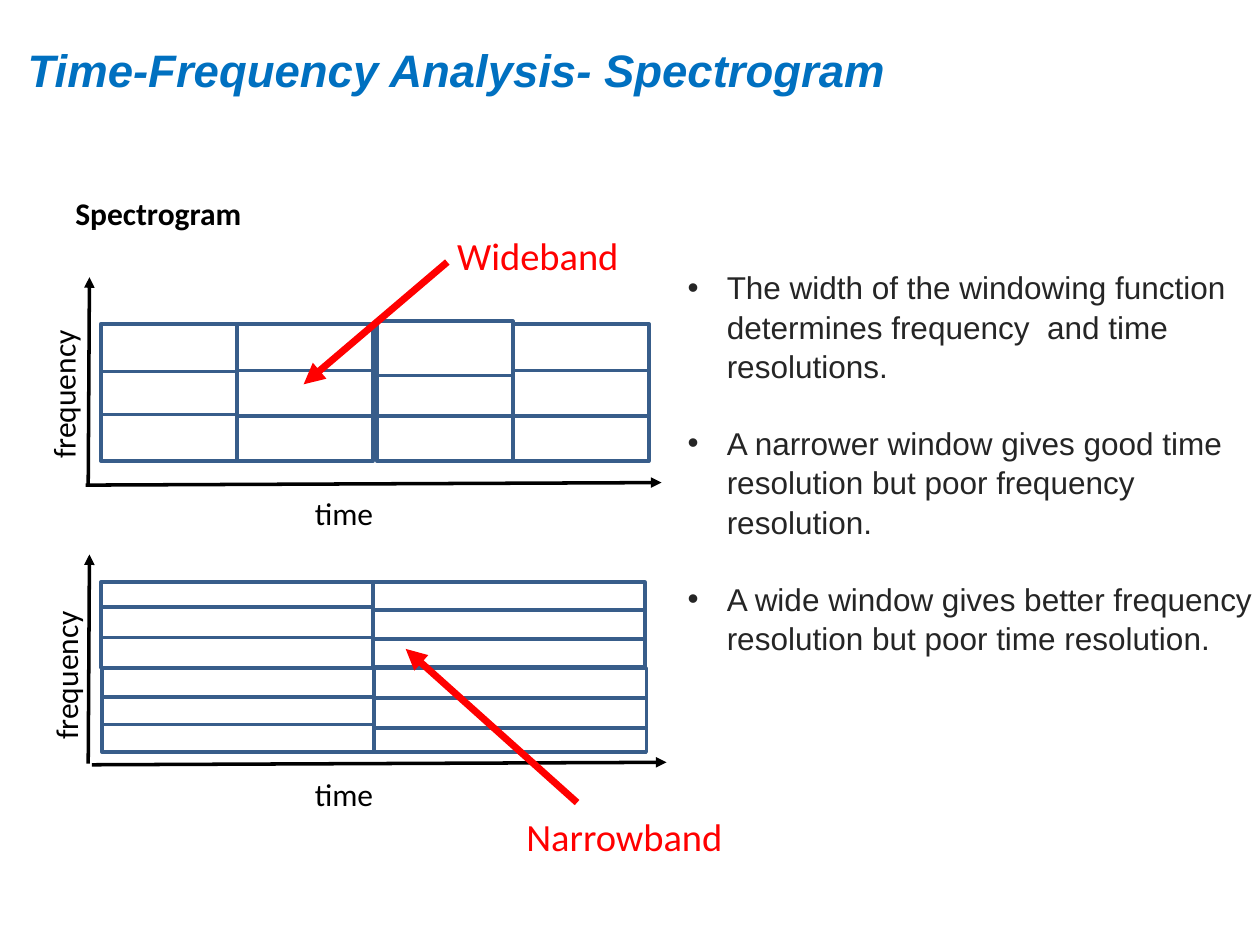
import pptx
import pptx.util
import pptx.dml.color
import pptx.enum.shapes
import pptx.enum.text
import pptx.oxml
import pptx.oxml.ns
from lxml import etree

COLORS = {"title": "0070C0", "ink": "000000", "cell": "385D8A", "accent": "FF0000", "body": "252525"}
WIDEBAND_CELLS = [
    (8, 10.8, (25.7, 29.5, 32.9, 36.6)),
    (18.8, 10.8, (25.7, 29.4, 33, 36.6)),
    (29.9, 10.8, (25.5, 29.8, 33, 36.6)),
    (40.7, 10.8, (25.7, 29.4, 33, 36.6)),
]
NARROWBAND_CELLS = [
    (8, 21.6, (46.2, 48.2, 50.6, 53)),
    (29.6, 21.6, (46.2, 48.4, 50.7, 52.9)),
    (8.1, 21.6, (53, 55.3, 57.5, 59.7)),
    (29.7, 21.6, (53, 55.4, 57.8, 59.7)),
]
POINTS = [
    "The width of the windowing function determines frequency  and time resolutions.",
    "A narrower window gives good time resolution but poor frequency resolution.",
    "A wide window gives better frequency resolution but poor time resolution.",
]


def rgb(name):
    """Return the named colour."""
    return pptx.dml.color.RGBColor.from_string(COLORS[name])


class SlideBuilder:
    """Draws styled elements on a grid of 100 columns by 75 rows."""

    def __init__(self, deck):
        """Add a title-only page to the deck."""
        self.unit = deck.slide_width / 100
        self.page = deck.slides.add_slide(deck.slide_layouts[5])
        self.shapes = self.page.shapes

    def grid(self, *values):
        """Convert grid units to lengths."""
        return [pptx.util.Emu(round(value * self.unit)) for value in values]

    def add_span(self, para, text, size, color, font="Calibri", bold=False, italic=False):
        """Add one formatted span to a paragraph."""
        span = para.add_run()
        span.text = text
        span.font.name = font
        span.font.size = pptx.util.Pt(size)
        span.font.bold = bold
        span.font.italic = italic
        span.font.color.rgb = rgb(color)

    def title(self, text, left, top, width, height):
        """Place and fill the title placeholder."""
        box = self.shapes.title
        box.left, box.top, box.width, box.height = self.grid(left, top, width, height)
        frame = box.text_frame
        frame.auto_size = pptx.enum.text.MSO_AUTO_SIZE.NONE
        frame.vertical_anchor = pptx.enum.text.MSO_ANCHOR.TOP
        frame.margin_top = pptx.util.Inches(0.09)
        para = frame.paragraphs[0]
        para.alignment = pptx.enum.text.PP_ALIGN.LEFT
        self.add_span(para, text, 26, "title", "Arial", True, True)

    def label(self, text, left, top, width, height, size=18, color="ink", bold=False, rotation=0):
        """Add a one-line label."""
        box = self.shapes.add_textbox(*self.grid(left, top, width, height))
        box.rotation = rotation
        box.text_frame.word_wrap = False
        self.add_span(box.text_frame.paragraphs[0], text, size, color, bold=bold)

    def bullets(self, points, left, top, width, height):
        """Add a bulleted list."""
        box = self.shapes.add_textbox(*self.grid(left, top, width, height))
        frame = box.text_frame
        frame.word_wrap = True
        for index, text in enumerate(points):
            para = frame.add_paragraph() if index else frame.paragraphs[0]
            properties = para._p.get_or_add_pPr()
            indent = pptx.util.Inches(0.31)
            properties.set("marL", str(indent))
            properties.set("indent", str(-indent))
            color = etree.SubElement(properties, pptx.oxml.ns.qn("a:buClr"))
            etree.SubElement(color, pptx.oxml.ns.qn("a:srgbClr"), val=COLORS["body"])
            etree.SubElement(properties, pptx.oxml.ns.qn("a:buFont"), typeface="Arial")
            etree.SubElement(properties, pptx.oxml.ns.qn("a:buChar"), char="•")
            para.line_spacing = 1.04
            if index < len(points) - 1:
                para.space_after = pptx.util.Pt(21.6)
            self.add_span(para, text, 18, "body", "Arial")

    def arrow(self, start, end, color="ink", weight=2):
        """Draw a line with an arrowhead at its end."""
        line = self.shapes.add_connector(
            pptx.enum.shapes.MSO_CONNECTOR.STRAIGHT, *self.grid(*start, *end))
        line.line.color.rgb = rgb(color)
        line.line.width = pptx.util.Pt(weight)
        outline = line.line._get_or_add_ln()
        etree.SubElement(outline, pptx.oxml.ns.qn("a:tailEnd"), type="triangle")
        etree.SubElement(line._element.spPr, pptx.oxml.ns.qn("a:effectLst"))

    def cells(self, columns):
        """Draw stacks of outlined cells from their row edges."""
        for left, width, edges in columns:
            for top, bottom in zip(edges, edges[1:]):
                cell = self.shapes.add_shape(
                    pptx.enum.shapes.MSO_SHAPE.RECTANGLE, *self.grid(left, top, width, bottom - top))
                cell.shadow.inherit = False
                cell.fill.background()
                cell.line.color.rgb = rgb("cell")
                cell.line.width = pptx.util.Pt(2)

    def plot(self, columns, origin, time_end, frequency_start, frequency_end, time_top, frequency_box):
        """Draw a tiled time-frequency plane with its axes."""
        self.arrow(origin, time_end)
        self.cells(columns)
        self.arrow(frequency_start, frequency_end)
        self.label("time", 24, time_top, 6.6, 4)
        self.label("frequency", *frequency_box, 12.2, 4, rotation=270)


def main():
    """Build and save the deck."""
    deck = pptx.Presentation()
    deck.slide_width = pptx.util.Inches(10)
    deck.slide_height = pptx.util.Inches(7.5)
    slide = SlideBuilder(deck)
    slide.title("Time-Frequency Analysis- Spectrogram", 1.2, 2.4, 90, 12.5)
    slide.label("Spectrogram", 5, 14.9, 21, 4, bold=True)
    slide.plot(WIDEBAND_CELLS, (6.8, 38.5), (52.5, 38.3), (7, 38.5), (7.1, 22), 38.7, (-1.1, 29.3))
    slide.plot(NARROWBAND_CELLS, (7.3, 60.7), (52.9, 60.5), (7, 60.6), (7.1, 44), 61, (-0.9, 51.6))
    slide.bullets(POINTS, 53.6, 20.7, 46.8, 43)
    slide.arrow((35.5, 20.8), (24.1, 30.5), "accent", 4)
    slide.arrow((45.8, 63.7), (32.2, 51.5), "accent", 4)
    slide.label("Wideband", 35.3, 17.9, 14.8, 4.7, 22, "accent")
    slide.label("Narrowband", 40.8, 64, 17.6, 4.7, 22, "accent")
    deck.save("out.pptx")


if __name__ == "__main__":
    main()
